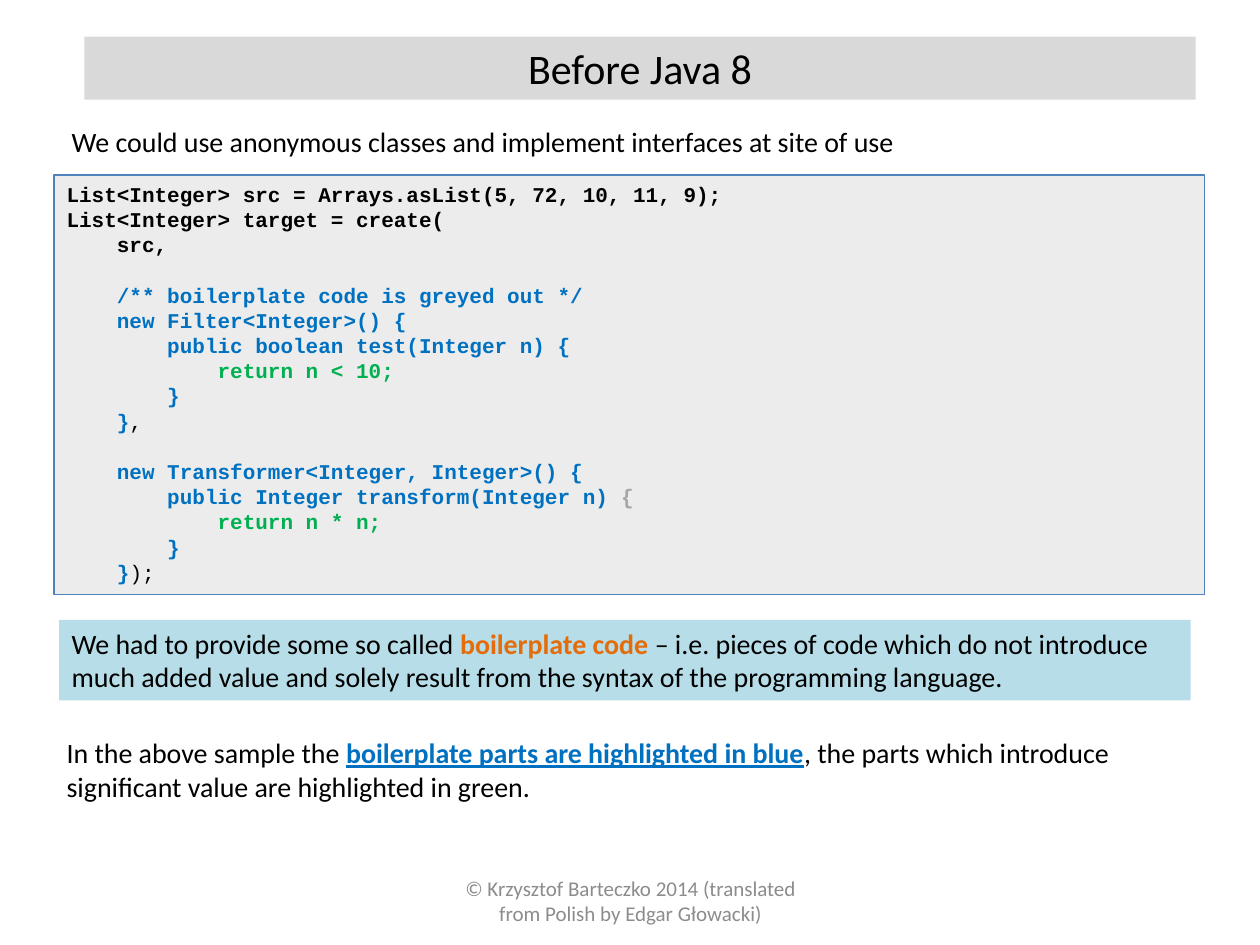
from lxml.etree import SubElement
from pptx import Presentation
from pptx.dml.color import RGBColor
from pptx.enum.shapes import MSO_SHAPE
from pptx.enum.text import MSO_ANCHOR, MSO_AUTO_SIZE, PP_ALIGN
from pptx.oxml.ns import qn
from pptx.util import Inches, Pt

THEME = {
    "body_font": "Calibri", "code_font": "Courier New",
    "title_size": 24, "body_size": 16, "small_size": 12, "code_pitch": 14.4,
    "black": "000000", "blue": "0070C0", "green": "00B050", "orange": "E46C0A",
    "brace": "A6A6A6", "footer": "8C8C8C",
    "panel": "D9D9D9", "panel_line": "4F81BD", "callout": "B7DEE8",
}

# Content: each paragraph is a list of (text, colour, style); b = bold, u = underline
TITLE = [[("Before Java 8", "black", "")]]
INTRO = [[("We could use anonymous classes and implement interfaces at site of use",
           "black", "")]]
CODE_BLOCKS = [
    [
        [("List<Integer> src = Arrays.asList(5, 72, 10, 11, 9);", "black", "b")],
        [("List<Integer> target = create(", "black", "b")],
        [("    src,", "black", "b")],
    ],
    [
        [("    /** boilerplate code is greyed out */", "blue", "b")],
        [("    new Filter<Integer>() {", "blue", "b")],
        [("        public boolean test(Integer n) {", "blue", "b")],
        [("            return n < 10;", "green", "b")],
        [("        }", "blue", "b")],
        [("    }", "blue", "b"), (",", "black", "")],
    ],
    [
        [("    new Transformer<Integer, Integer>() {", "blue", "b")],
        [("        public Integer transform(Integer n) ", "blue", "b"), ("{", "brace", "b")],
        [("            return n * n;", "green", "b")],
        [("        }", "blue", "b")],
        [("    }", "blue", "b"), (");", "black", "")],
    ],
]
CALLOUT = [[
    ("We had to provide some so called ", "black", ""),
    ("boilerplate code", "orange", "b"),
    (" – i.e. pieces of code which do not introduce much added value and solely "
     "result from the syntax of the programming language.", "black", ""),
]]
SUMMARY = [[
    ("In the above sample the ", "black", ""),
    ("boilerplate parts are highlighted in blue", "blue", "bu"),
    (", the parts which introduce significant value are highlighted in green.", "black", ""),
]]
FOOTER = [[("© Krzysztof Barteczko 2014 (translated from Polish by Edgar Głowacki)",
            "footer", "")]]


def rgb(name):
    return RGBColor.from_string(THEME[name])


def write(sp, paragraphs, size="body_size", font="body_font",
          align=PP_ALIGN.LEFT, anchor=MSO_ANCHOR.TOP):
    tf = sp.text_frame
    tf.word_wrap = True
    tf.auto_size = MSO_AUTO_SIZE.NONE
    tf.vertical_anchor = anchor
    for i, runs in enumerate(paragraphs):
        p = tf.add_paragraph() if i else tf.paragraphs[0]
        p.alignment = align
        for text, colour, style in runs:
            r = p.add_run()
            r.text = text
            r.font.name = THEME[font]
            r.font.size = Pt(THEME[size])
            r.font.color.rgb = rgb(colour)
            r.font.bold = "b" in style
            r.font.underline = "u" in style
    return tf


def add_text(s, box, paragraphs, **options):
    sp = s.shapes.add_textbox(*map(Inches, box))
    write(sp, paragraphs, **options)


def add_panel(s, box, fill):
    sp = s.shapes.add_shape(MSO_SHAPE.RECTANGLE, *map(Inches, box))
    sp.shadow.inherit = False
    sp.fill.solid()
    sp.fill.fore_color.rgb = rgb(fill)
    sp.line.fill.background()
    return sp


def add_code(s, box):
    sp = add_panel(s, box, "panel")
    colour = sp.fill._xPr.find(qn("a:solidFill"))[0]
    SubElement(colour, qn("a:alpha")).set("val", "48000")
    sp.line.color.rgb = rgb("panel_line")
    sp.line.width = Pt(0.75)
    tf = write(sp, [line for block in CODE_BLOCKS for line in block],
               size="small_size", font="code_font")
    pitch = Pt(THEME["code_pitch"])
    for p in tf.paragraphs:
        p.line_spacing = pitch
    # One line of space ahead of every block but the first
    start = 0
    for block in CODE_BLOCKS[:-1]:
        start += len(block)
        tf.paragraphs[start].space_before = pitch


def main():
    prs = Presentation()
    prs.slide_width, prs.slide_height = Inches(10), Inches(7.5)
    s = prs.slides.add_slide(prs.slide_layouts[5])

    # Title bar
    title = s.shapes.title
    title.left, title.top, title.width, title.height = map(Inches, (0.67, 0.29, 8.82, 0.5))
    title.fill.solid()
    title.fill.fore_color.rgb = rgb("panel")
    write(title, TITLE, size="title_size", align=PP_ALIGN.CENTER)

    # Introduction and code sample
    add_text(s, (0.47, 0.94, 8.98, 0.37), INTRO)
    add_code(s, (0.43, 1.39, 9.13, 3.33))

    # Explanation
    write(add_panel(s, (0.47, 4.92, 8.98, 0.64), "callout"), CALLOUT)
    add_text(s, (0.43, 5.79, 8.98, 0.64), SUMMARY)

    # Footer
    add_text(s, (3.42, 6.95, 3.17, 0.4), FOOTER, size="small_size",
             align=PP_ALIGN.CENTER, anchor=MSO_ANCHOR.MIDDLE)

    prs.save("out.pptx")


if __name__ == "__main__":
    main()
